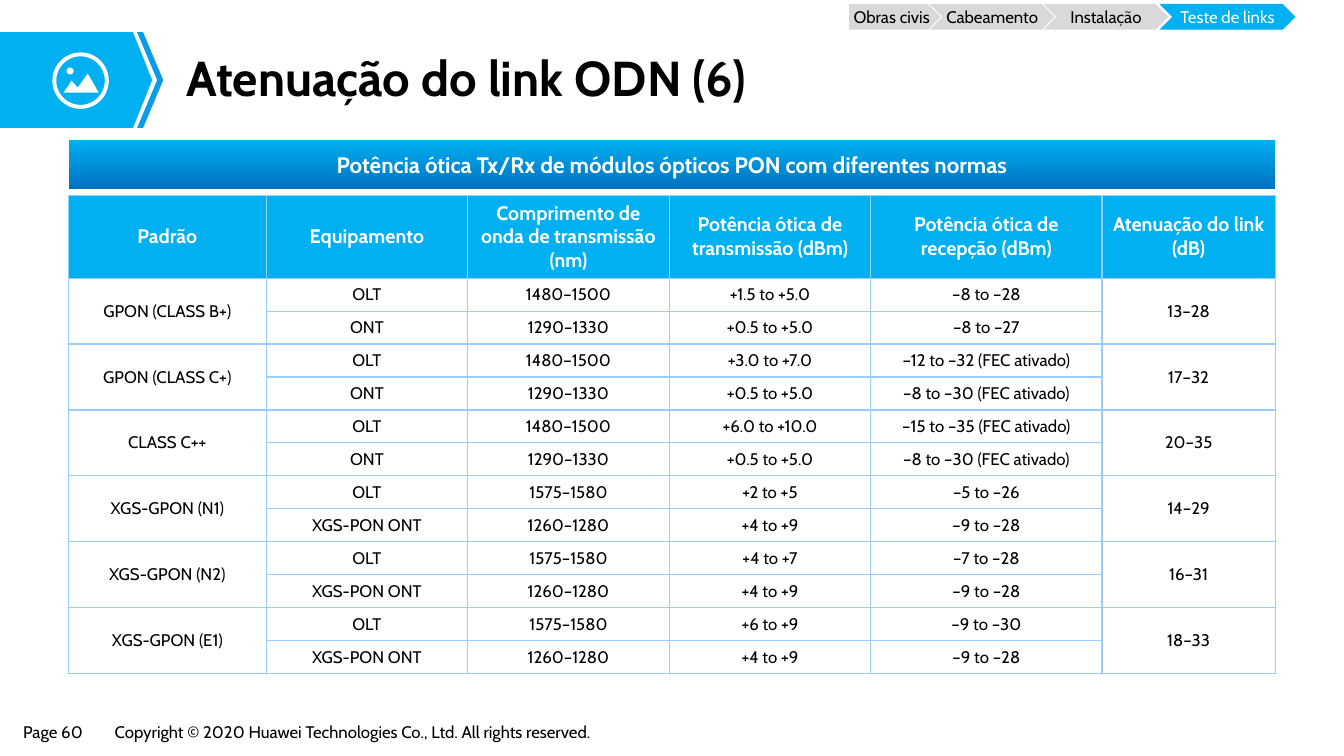
"""Builds the ODN link attenuation slide; lengths are percentages of the slide's size."""
import dataclasses
import itertools

import pptx
import pptx.dml.color
import pptx.enum.shapes
import pptx.enum.text
import pptx.oxml
import pptx.oxml.ns
import pptx.util

SHAPE = pptx.enum.shapes.MSO_SHAPE
ALIGN = pptx.enum.text.PP_ALIGN
ANCHOR = pptx.enum.text.MSO_ANCHOR
WIDTH, HEIGHT = pptx.util.Inches(13.33), pptx.util.Inches(7.5)


@dataclasses.dataclass(frozen=True)
class Theme:
    font: str = "Cabin"
    accent: str = "00B0F0"
    stripe: str = "0B9CE5"
    deep: str = "0070C0"
    grey: str = "D9D9D9"
    border: str = "99CCFF"
    white: str = "FFFFFF"
    black: str = "000000"
    title: int = 35
    band: int = 16
    header: int = 14
    body: int = 12


THEME = Theme()

STEPS = [
    ("Cabeamento", SHAPE.CHEVRON, 69.17, 9.3, THEME.grey, THEME.black),
    ("Instalação", SHAPE.CHEVRON, 77.64, 9.3, THEME.grey, THEME.black),
    ("Teste de links", SHAPE.CHEVRON, 86.27, 10.13, THEME.accent, THEME.white),
    ("Obras civis", SHAPE.PENTAGON, 63.17, 6.83, THEME.grey, THEME.black),
]
COLUMNS = [
    ("Padrão", 14.7),
    ("Equipamento", 15),
    ("Comprimento de onda de transmissão (nm)", 15),
    ("Potência ótica de transmissão (dBm)", 15),
    ("Potência ótica de recepção (dBm)", 17.2),
    ("Atenuação do link (dB)", 12.9),
]
GPON_ONT = ("ONT", "1290–1330", "+0.5 to +5.0")
XGS_ONT = ("XGS-PON ONT", "1260–1280", "+4 to +9", "–9 to –28")
STANDARDS = [
    ("GPON (CLASS B+)", "13–28",
     ("OLT", "1480–1500", "+1.5 to +5.0", "–8 to –28"), (*GPON_ONT, "–8 to –27")),
    ("GPON (CLASS C+)", "17–32",
     ("OLT", "1480–1500", "+3.0 to +7.0", "–12 to –32 (FEC ativado)"),
     (*GPON_ONT, "–8 to –30 (FEC ativado)")),
    ("CLASS C++", "20–35",
     ("OLT", "1480–1500", "+6.0 to +10.0", "–15 to –35 (FEC ativado)"),
     (*GPON_ONT, "–8 to –30 (FEC ativado)")),
    ("XGS-GPON (N1)", "14–29", ("OLT", "1575–1580", "+2 to +5", "–5 to –26"), XGS_ONT),
    ("XGS-GPON (N2)", "16–31", ("OLT", "1575–1580", "+4 to +7", "–7 to –28"), XGS_ONT),
    ("XGS-GPON (E1)", "18–33", ("OLT", "1575–1580", "+6 to +9", "–9 to –30"), XGS_ONT),
]


def across(share):
    return int(WIDTH * share / 100)


def down(share):
    return int(HEIGHT * share / 100)


def box(x, y, w, h):
    return across(x), down(y), across(w), down(h)


def rgb(color):
    return pptx.dml.color.RGBColor.from_string(color)


def write(tf, text, size, color, bold=False, align=ALIGN.LEFT):
    tf.text = text
    p = tf.paragraphs[0]
    p.alignment = align
    p.font.name, p.font.size, p.font.bold = THEME.font, pptx.util.Pt(size), bold
    p.font.color.rgb = rgb(color)
    return p


def paint(sp, color):
    sp.shadow.inherit = False
    sp.fill.solid()
    sp.fill.fore_color.rgb = rgb(color)
    sp.line.fill.background()
    return sp


def add_preset(s, kind, place, color):
    return paint(s.shapes.add_shape(kind, *box(*place)), color)


def add_outline(s, points, color):
    start, *rest = [(across(x), down(y)) for x, y in points]
    builder = s.shapes.build_freeform(*start)
    builder.add_line_segments(rest, close=True)
    return paint(builder.convert_to_shape(), color)


def add_footer(s, text, x, w):
    tf = s.shapes.add_textbox(*box(x, 94.8, w, 3.87)).text_frame
    tf.word_wrap = False
    write(tf, text, THEME.body, THEME.black)


def add_emblem(s):
    add_outline(s, [(9.9, 16.93), (0, 16.93), (0, 4.27), (9.9, 4.27), (11.33, 10.6)], THEME.accent)
    add_outline(s, [(10.65, 4.27), (10.2, 4.27), (11.7, 10.6), (10.2, 16.93),
                    (10.65, 16.93), (12.15, 10.6)], THEME.stripe)
    ring = add_preset(s, SHAPE.DONUT, (3.9, 6.93, 4.2, 7.47), THEME.white)
    ring.adjustments[0] = 0.07
    add_outline(s, [(7.35, 12.27), (4.73, 12.27), (5.33, 10.67), (5.78, 11.6), (6.53, 9.73)],
                THEME.white)
    add_preset(s, SHAPE.OVAL, (4.95, 8.93, 0.53, 0.93), THEME.white)


def add_title(s, text):
    sp = s.shapes.title
    sp.left, sp.top, sp.width, sp.height = box(13.05, 6, 80.65, 9.33)
    tf = sp.text_frame
    tf.auto_size = pptx.enum.text.MSO_AUTO_SIZE.NONE
    tf.vertical_anchor = ANCHOR.MIDDLE
    tf.margin_left = tf.margin_right = pptx.util.Inches(0.11)
    tf.margin_top = tf.margin_bottom = pptx.util.Inches(0.06)
    write(tf, text, THEME.title, THEME.black, bold=True).line_spacing = 0.9


def add_band(s, text):
    sp = add_preset(s, SHAPE.RECTANGLE, (5.1, 18.53, 89.8, 6.53), THEME.accent)
    sp.fill.gradient()
    sp.fill.gradient_angle = 270
    for stop, color in zip(sp.fill.gradient_stops, (THEME.accent, THEME.deep)):
        stop.color.rgb = rgb(color)
    sp.text_frame.vertical_anchor = ANCHOR.MIDDLE
    write(sp.text_frame, text, THEME.band, THEME.white, bold=True, align=ALIGN.CENTER)


def add_step(s, text, kind, x, w, fill, color):
    tf = add_preset(s, kind, (x, 0.53, w, 3.4), fill).text_frame
    tf.margin_left = tf.margin_right = tf.margin_top = tf.margin_bottom = 0
    tf.vertical_anchor = ANCHOR.MIDDLE
    tf.word_wrap = False
    write(tf, text, THEME.body, color, align=ALIGN.CENTER)


def set_borders(cell):
    props = cell._tc.get_or_add_tcPr()
    for side in ("lnL", "lnR", "lnT", "lnB"):
        props.append(pptx.oxml.parse_xml(
            f'<a:{side} {pptx.oxml.ns.nsdecls("a")} w="12700"><a:solidFill>'
            f'<a:srgbClr val="{THEME.border}"/></a:solidFill></a:{side}>'))


def add_power_table(s):
    rows = [[name for name, _ in COLUMNS]]
    for name, loss, olt, ont in STANDARDS:
        rows += [[name, *olt, loss], ["", *ont, ""]]
    frame = s.shapes.add_table(len(rows), len(COLUMNS), *box(5.1, 25.87, 89.8, 63.25))
    table = frame.table
    table.horz_banding = False
    for column, (_, share) in zip(table.columns, COLUMNS):
        column.width = across(share)
    for i, row in enumerate(table.rows):
        row.height = down(4.36 if i else 10.93)
    for i, j in itertools.product(range(len(rows)), range(len(COLUMNS))):
        cell = table.cell(i, j)
        set_borders(cell)
        cell.vertical_anchor = ANCHOR.MIDDLE
        if i:
            cell.fill.background()
            size, color = THEME.body, THEME.black
        else:
            cell.fill.solid()
            cell.fill.fore_color.rgb = rgb(THEME.accent)
            size, color = THEME.header, THEME.white
        write(cell.text_frame, rows[i][j], size, color, bold=not i, align=ALIGN.CENTER)
    for i, j in itertools.product(range(1, len(rows), 2), (0, len(COLUMNS) - 1)):
        table.cell(i, j).merge(table.cell(i + 1, j))


def main():
    prs = pptx.Presentation()
    prs.slide_width, prs.slide_height = WIDTH, HEIGHT
    s = prs.slides.add_slide(prs.slide_layouts[5])
    add_footer(s, "Page 60", 0.98, 6.08)
    add_footer(s, "Copyright © 2020 Huawei Technologies Co., Ltd. All rights reserved.", 7.8, 40.58)
    add_emblem(s)
    add_title(s, "Atenuação do link ODN (6)")
    add_power_table(s)
    add_band(s, "Potência ótica Tx/Rx de módulos ópticos PON com diferentes normas")
    for step in STEPS:
        add_step(s, *step)
    prs.save("out.pptx")


if __name__ == "__main__":
    main()
